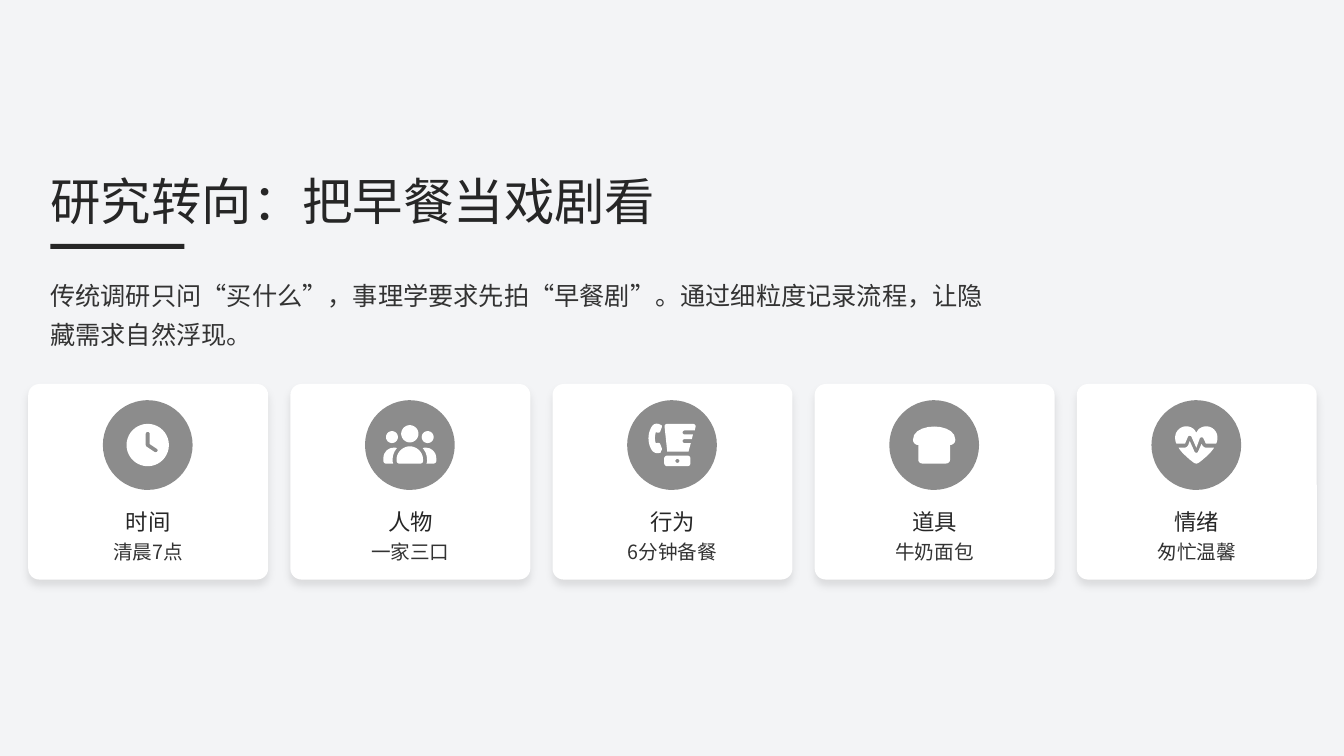
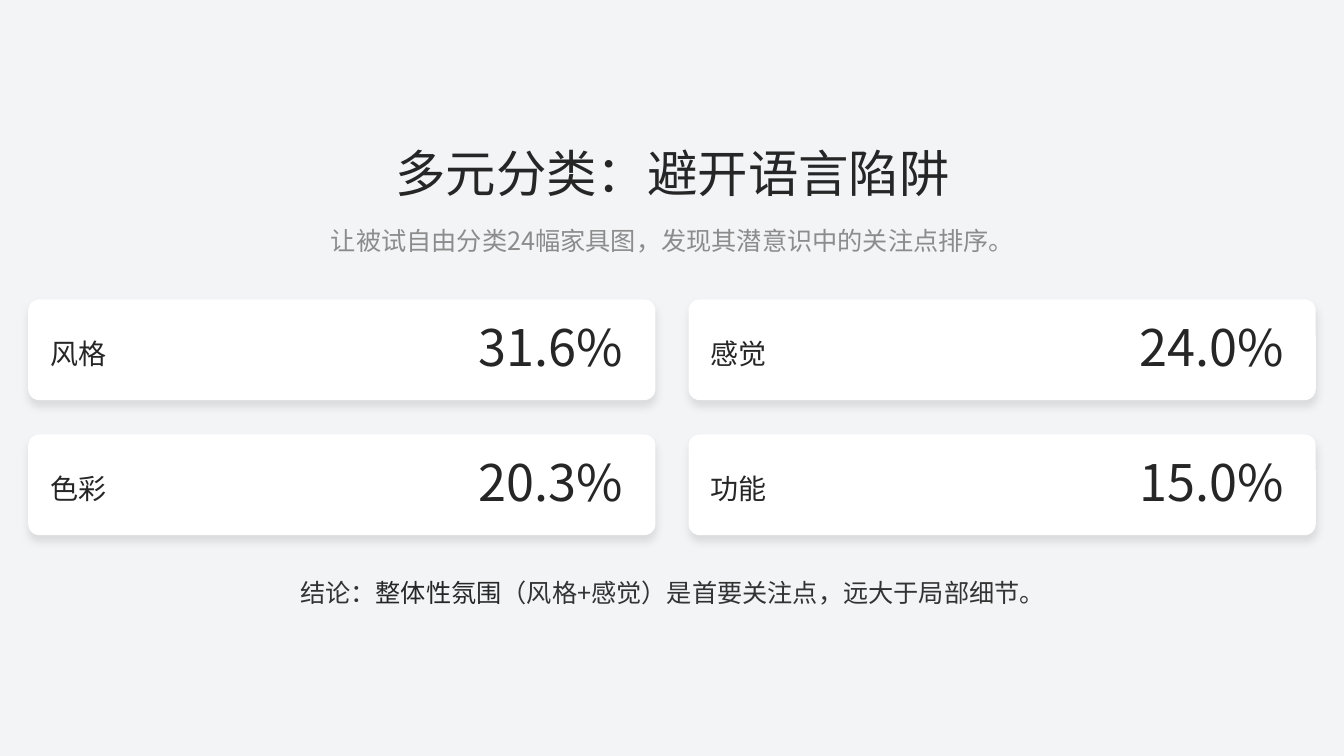
from dataclasses import dataclass

from lxml.etree import SubElement
from pptx import Presentation
from pptx.dml.color import RGBColor
from pptx.enum.shapes import MSO_SHAPE
from pptx.enum.text import MSO_ANCHOR, MSO_AUTO_SIZE, PP_ALIGN
from pptx.oxml.ns import qn
from pptx.util import Emu, Pt

PX = 9144  # EMU per px, 100 px to the inch
ICON_UNIT = 750  # EMU per unit of the 512-unit icon grid
ICON_CENTRE = 256
CURVE_STEPS = 10
CIRCLE_ARC = 0.5523


@dataclass(frozen=True)
class Theme:
    font: str = "Noto Sans CJK SC"
    background: str = "F3F4F6"
    card: str = "FFFFFF"
    ink: str = "262626"
    body: str = "333333"
    muted: str = "8C8C8C"
    title_size: int = 36
    label_size: int = 20
    body_size: int = 18
    heading_size: int = 16
    caption_size: int = 14
    corner: int = 11


THEME = Theme()


@dataclass(frozen=True)
class Box:
    left: int
    top: int
    width: int
    height: int

    def emu(self):
        return [Emu(n * PX) for n in (self.left, self.top, self.width, self.height)]

    def inner(self, left, top, width, height):
        return Box(self.left + left, self.top + top, width, height)

    def grid(self, columns, rows, gap_x, gap_y=0):
        """Equal cells, row by row."""
        width = (self.width - gap_x * (columns - 1)) // columns
        height = (self.height - gap_y * (rows - 1)) // rows
        return [
            self.inner(column * (width + gap_x), row * (height + gap_y), width, height)
            for row in range(rows)
            for column in range(columns)
        ]


# Icon outlines: M move, L line, C curve, O circle (centre and radius)
CLOCK = """O 256 256 256
M 232 120 L 232 256 C 232 264 236 272 243 276 L 339 340
C 350 347 365 344 372 333 C 379 322 377 307 365 300
L 280 243 L 280 120 C 280 107 269 96 256 96 C 243 96 232 107 232 120"""
PEOPLE = """O 256 120 104 O 40 160 72 O 472 160 72
M -64 416 C -64 345 -7 288 64 288 C 77 288 89 290 101 293
C 68 330 48 379 48 432 L 48 448 C 48 459 50 471 55 480
L -32 480 C -50 480 -64 466 -64 448
M 576 416 C 576 345 519 288 448 288 C 435 288 423 290 411 293
C 444 330 464 379 464 432 L 464 448 C 464 459 462 471 457 480
L 544 480 C 562 480 576 466 576 448
M 96 432 C 96 344 168 272 256 272 C 344 272 416 344 416 432
L 416 448 C 416 466 402 480 384 480 L 128 480 C 110 480 96 466 96 448"""
BLENDER = """M 125 14 C 134 18 138 28 135 37 L 114 93
C 111 102 102 107 93 106 L 60 103 C 48 150 48 194 60 233
L 93 230 C 102 229 111 234 114 243 L 135 299 C 138 309 134 319 125 323
L 122 345 C 85 363 40 355 14 320 C -42 235 -42 115 14 30
C 40 -10 85 -10 122 13
M 199 336 L 167 34 C 165 15 180 0 199 0 L 506 0
C 530 0 546 16 541 38 L 532 80 L 408 80 C 395 80 384 91 384 104
C 384 117 395 128 408 128 L 510 128 L 496 184 L 408 184
C 395 184 384 195 384 208 C 384 221 395 232 408 232
L 484 232 L 456 336
M 199 384 L 444 384 C 464 384 480 400 480 420 L 480 472
C 480 494 464 512 444 512 L 199 512 C 178 512 162 494 162 472
L 162 420 C 162 400 178 384 199 384
O 322 448 24"""
BREAD = """M 64 432 L 64 256 C 29 256 0 227 0 192
C 0 -21 512 -21 512 192 C 512 227 483 256 448 256
L 448 432 C 448 458 426 480 400 480 L 112 480 C 86 480 64 458 64 432"""
HEARTBEAT = """M 256 107 L 244 88 C 225 54 180 30 136 30
C 61 30 0 91 0 166 L 0 172 C 0 196 6 220 17 240
L 114 240 C 118 240 121 238 122 235 L 153 161
C 157 152 166 144 175 144 C 185 144 194 149 198 158
L 257 290 L 298 176 C 303 168 310 163 320 163
C 329 163 337 168 341 176 L 370 235 C 371 238 374 240 377 240
L 495 240 C 506 220 512 196 512 172 L 512 166
C 512 91 451 30 376 30 C 332 30 287 54 268 88
M 471 288 L 377 288 C 356 288 337 276 327 257 L 320 243 L 277 337
C 273 346 266 350 256 350 C 246 350 238 345 234 336
L 177 208 L 167 233 C 159 268 138 288 114 288 L 41 288
C 80 353 160 420 212 460 C 225 470 240 480 256 480
C 272 480 287 470 300 460 C 352 420 432 353 471 288"""


# Shared text and shape helpers
def style_run(run, size, color):
    run.font.name = THEME.font
    run.font.size = Pt(size)
    run.font.bold = False
    run.font.color.rgb = RGBColor.from_string(color)
    east_asian = SubElement(run.font._element, qn("a:ea"))
    east_asian.set("typeface", THEME.font)


def fill_text(shape, pieces, size, align, spacing):
    """Write (text, colour) pieces as one paragraph."""
    frame = shape.text_frame
    frame.word_wrap = True
    frame.auto_size = MSO_AUTO_SIZE.NONE
    frame.vertical_anchor = MSO_ANCHOR.MIDDLE
    frame.margin_left = frame.margin_right = frame.margin_top = frame.margin_bottom = 0
    paragraph = frame.paragraphs[0]
    paragraph.alignment = align
    paragraph.line_spacing = spacing
    for text, color in pieces:
        run = paragraph.add_run()
        run.text = text
        style_run(run, size, color)


def add_text(slide, box, pieces, size, align=PP_ALIGN.LEFT, spacing=1.2):
    fill_text(slide.shapes.add_textbox(*box.emu()), pieces, size, align, spacing)


def add_title(slide, box, text, align):
    title = slide.shapes.title
    title.left, title.top, title.width, title.height = box.emu()
    fill_text(title, [(text, THEME.ink)], THEME.title_size, align, 0.9)


def paint(shape, color):
    shape.shadow.inherit = False
    shape.fill.solid()
    shape.fill.fore_color.rgb = RGBColor.from_string(color)
    shape.line.fill.background()


def add_block(slide, kind, box, color):
    shape = slide.shapes.add_shape(kind, *box.emu())
    paint(shape, color)
    return shape


def add_card(slide, box):
    card = add_block(slide, MSO_SHAPE.ROUNDED_RECTANGLE, box, THEME.card)
    card.adjustments[0] = THEME.corner / min(box.width, box.height)
    effects = card._element.spPr.find(qn("a:effectLst"))
    shadow = SubElement(effects, qn("a:outerShdw"), blurRad=str(Pt(6)),
                        dist=str(Pt(4)), dir="5400000", algn="ctr", rotWithShape="0")
    color = SubElement(shadow, qn("a:srgbClr"), val="000000")
    SubElement(color, qn("a:alpha"), val="10000")


# Icons
def curve_points(start, first, second, end):
    for step in range(1, CURVE_STEPS + 1):
        t = step / CURVE_STEPS
        weights = ((1 - t) ** 3, 3 * t * (1 - t) ** 2, 3 * t * t * (1 - t), t ** 3)
        corners = (start, first, second, end)
        yield tuple(sum(w * point[axis] for w, point in zip(weights, corners))
                    for axis in (0, 1))


def circle_points(x, y, radius):
    points = [(x + radius, y)]
    arc = radius * CIRCLE_ARC
    for a, b in ((1, 0), (0, 1), (-1, 0), (0, -1)):
        points += curve_points(
            (x + a * radius, y + b * radius),
            (x + a * radius - b * arc, y + b * radius + a * arc),
            (x - b * radius + a * arc, y + a * radius + b * arc),
            (x - b * radius, y + a * radius),
        )
    return points


def read_outline(outline):
    contours = []
    tokens = iter(outline.split())
    lengths = {"M": 2, "L": 2, "C": 6, "O": 3}
    for command in tokens:
        numbers = [int(next(tokens)) for _ in range(lengths[command])]
        points = list(zip(numbers[::2], numbers[1::2]))
        if command == "O":
            contours.append(circle_points(*numbers))
        elif command == "M":
            contours.append(points)
        elif command == "L":
            contours[-1] += points
        else:
            contours[-1] += curve_points(contours[-1][-1], *points)
    return contours


def add_icon(slide, box, outline):
    add_block(slide, MSO_SHAPE.OVAL, box, THEME.muted)
    first, *others = read_outline(outline)
    builder = slide.shapes.build_freeform(*first[0], scale=ICON_UNIT)
    builder.add_line_segments(first[1:], close=True)
    for contour in others:
        builder.move_to(*contour[0])
        builder.add_line_segments(contour[1:], close=True)
    left, top, width, height = box.emu()
    offset = ICON_CENTRE * ICON_UNIT
    icon = builder.convert_to_shape(left + width // 2 - offset, top + height // 2 - offset)
    paint(icon, THEME.card)


# Cards
def add_scene_card(slide, box, outline, heading, caption):
    add_card(slide, box)
    add_icon(slide, box.inner((box.width - 89) // 2, 16, 89, 89), outline)
    add_text(slide, box.inner(0, 116, box.width, 33), [(heading, THEME.ink)],
             THEME.heading_size, PP_ALIGN.CENTER, 1.3)
    add_text(slide, box.inner(0, 150, box.width, 28), [(caption, THEME.body)],
             THEME.caption_size, PP_ALIGN.CENTER)


def add_share_card(slide, box, label, share):
    add_card(slide, box)
    add_text(slide, box.inner(22, 31, 111, 39), [(label, THEME.ink)], THEME.label_size)
    add_text(slide, box.inner(447, 22, 160, 56), [(share, THEME.ink)],
             THEME.title_size, spacing=0.9)


# Slides
def build_scene_slide(slide, box):
    add_title(slide, box.inner(22, 0, 1233, 56), "研究转向：把早餐当戏剧看", PP_ALIGN.LEFT)
    add_block(slide, MSO_SHAPE.RECTANGLE, box.inner(22, 67, 133, 5), THEME.ink)
    introduction = "传统调研只问“买什么”，事理学要求先拍“早餐剧”。通过细粒度记录流程，让隐藏需求自然浮现。"
    add_text(slide, box.inner(22, 94, 933, 78), [(introduction, THEME.body)],
             THEME.body_size, spacing=1.3)
    scenes = (
        (CLOCK, "时间", "清晨7点"),
        (PEOPLE, "人物", "一家三口"),
        (BLENDER, "行为", "6分钟备餐"),
        (BREAD, "道具", "牛奶面包"),
        (HEARTBEAT, "情绪", "匆忙温馨"),
    )
    cells = box.inner(0, 206, box.width, 194).grid(len(scenes), 1, 22)
    for cell, scene in zip(cells, scenes):
        add_scene_card(slide, cell, *scene)


def build_share_slide(slide, box):
    add_title(slide, box.inner(0, 0, box.width, 56), "多元分类：避开语言陷阱", PP_ALIGN.CENTER)
    add_text(slide, box.inner(0, 67, box.width, 39),
             [("让被试自由分类24幅家具图，发现其潜意识中的关注点排序。", THEME.muted)],
             THEME.body_size, PP_ALIGN.CENTER, 1.3)
    shares = (("风格", "31.6%"), ("感觉", "24.0%"), ("色彩", "20.3%"), ("功能", "15.0%"))
    cells = box.inner(0, 150, box.width, 234).grid(2, 2, 33, 34)
    for cell, share in zip(cells, shares):
        add_share_card(slide, cell, *share)
    conclusion = [
        ("结论：", THEME.body),
        ("整体性氛围", THEME.ink),
        ("（风格+感觉）是首要关注点，远大于局部细节。", THEME.body),
    ]
    add_text(slide, box.inner(0, 417, box.width, 39), conclusion,
             THEME.body_size, PP_ALIGN.CENTER, 1.3)


def main():
    presentation = Presentation()
    presentation.slide_width, presentation.slide_height = Emu(1333 * PX), Emu(750 * PX)
    background = presentation.slide_master.background.fill
    background.solid()
    background.fore_color.rgb = RGBColor.from_string(THEME.background)
    title_only = presentation.slide_layouts[5]
    build_scene_slide(presentation.slides.add_slide(title_only), Box(28, 175, 1278, 400))
    build_share_slide(presentation.slides.add_slide(title_only), Box(28, 147, 1278, 456))
    presentation.save("out.pptx")


if __name__ == "__main__":
    main()
